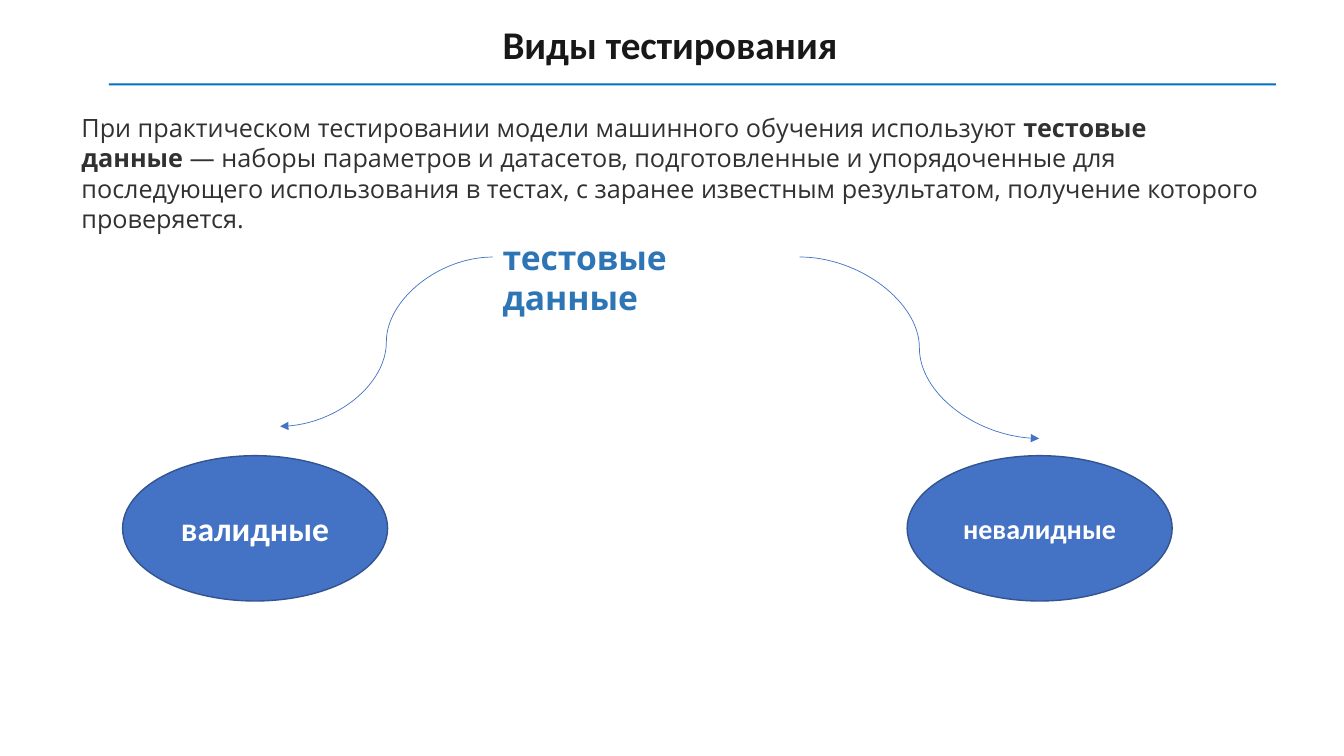
from lxml import etree
from pptx import Presentation
from pptx.dml.color import RGBColor
from pptx.enum.shapes import MSO_CONNECTOR, MSO_SHAPE
from pptx.enum.text import MSO_ANCHOR, MSO_AUTO_SIZE, PP_ALIGN
from pptx.oxml.ns import qn
from pptx.util import Inches, Pt

RECTANGLE = MSO_SHAPE.RECTANGLE
OVAL = MSO_SHAPE.OVAL
CURVE = MSO_CONNECTOR.CURVE
MIDDLE = MSO_ANCHOR.MIDDLE
CENTER = PP_ALIGN.CENTER
GROW = MSO_AUTO_SIZE.SHAPE_TO_FIT_TEXT

INK = RGBColor(0x18, 0x18, 0x18)
BODY_GREY = RGBColor(0x31, 0x31, 0x31)
RULE_BLUE = RGBColor(0x00, 0x70, 0xC0)
HEADING_BLUE = RGBColor(0x2E, 0x75, 0xB6)
OVAL_BLUE = RGBColor(0x44, 0x72, 0xC4)
OVAL_EDGE = RGBColor(0x32, 0x54, 0x91)
WHITE = RGBColor(0xFF, 0xFF, 0xFF)

HARD_SPACE = chr(160)
COLUMNS, ROWS = 160, 90
CELL = Inches(7.5) / ROWS
CENTER_COLUMN = 58.65
OVAL_ROW, OVAL_WIDTH, OVAL_HEIGHT = 54.25, 31.55, 17.3
ARROW_ROW = 30.6


def grid(*cells):
    """Turn numbers of grid cells into lengths."""
    return [round(cell * CELL) for cell in cells]


def style(para, family, size, color, bold=None):
    """Set the font of a paragraph."""
    font = para.font
    font.name, font.size, font.bold = family, Pt(size), bold
    font.color.rgb = color


def add_text(page, place, spans, family, size, color, bold=None, wrap=True):
    """Add a text box whose spans are pairs of text and boldness."""
    frame = page.shapes.add_textbox(*grid(*place)).text_frame
    frame.word_wrap = wrap
    frame.auto_size = GROW
    para = frame.paragraphs[0]
    style(para, family, size, color, bold)
    for text, strong in spans:
        span = para.add_run()
        span.text = text
        span.font.bold = strong


def add_filled(page, kind, place, color):
    """Add a flat filled shape without an outline."""
    shape = page.shapes.add_shape(kind, *grid(*place))
    shape.shadow.inherit = False
    shape.fill.solid()
    shape.fill.fore_color.rgb = color
    shape.line.fill.background()
    return shape


def add_oval(page, column, label, size):
    """Add an outlined oval with a centred label."""
    place = (column, OVAL_ROW, OVAL_WIDTH, OVAL_HEIGHT)
    oval = add_filled(page, OVAL, place, OVAL_BLUE)
    oval.line.color.rgb = OVAL_EDGE
    oval.line.width = Pt(1)
    frame = oval.text_frame
    frame.vertical_anchor = MIDDLE
    para = frame.paragraphs[0]
    para.text = label
    para.alignment = CENTER
    style(para, "Calibri", size, WHITE, True)


def add_arrow(page, start_column, end_column, end_row):
    """Add a curved arrow from the heading down to an oval."""
    ends = grid(start_column, ARROW_ROW, end_column, end_row)
    arrow = page.shapes.add_connector(CURVE, *ends)
    arrow.line.color.rgb = OVAL_BLUE
    arrow.line.width = Pt(0.5)
    etree.SubElement(arrow.line._get_or_add_ln(), qn("a:tailEnd"), type="triangle")
    etree.SubElement(arrow._element.spPr, qn("a:effectLst"))


def main():
    """Build the slide on kinds of testing data."""
    deck = Presentation()
    deck.slide_width, deck.slide_height = grid(COLUMNS, ROWS)
    page = deck.slides.add_slide(deck.slide_layouts[6])

    add_filled(page, RECTANGLE, (12.95, 9.92, 138.95, 0.25), RULE_BLUE)
    add_text(page, (CENTER_COLUMN, 1.8, 42.7, 6.85), [("Виды тестирования", None)],
             "Calibri", 28, INK, bold=True, wrap=False)
    add_text(page, (8.52, 12.8, 143.3, 12.1), [
        ("При практическом тестировании модели машинного обучения используют"
         + HARD_SPACE, None),
        ("тестовые данные", True),
        (HARD_SPACE + "— наборы параметров и датасетов, подготовленные и "
         "упорядоченные для последующего использования в тестах, с заранее "
         "известным результатом, получение которого проверяется.", None),
    ], "Open Sans", 18, BODY_GREY)
    add_text(page, (CENTER_COLUMN, 27.6, 36.5, 6), [("тестовые данные", None)],
             "Open Sans", 24, HEADING_BLUE, bold=True)

    add_arrow(page, CENTER_COLUMN, 33.35, 50.75)
    add_arrow(page, 95.2, 123.7, 52.2)
    add_oval(page, 14.6, "валидные", 24)
    add_oval(page, 108, "невалидные", 20)
    deck.save("out.pptx")


if __name__ == "__main__":
    main()
